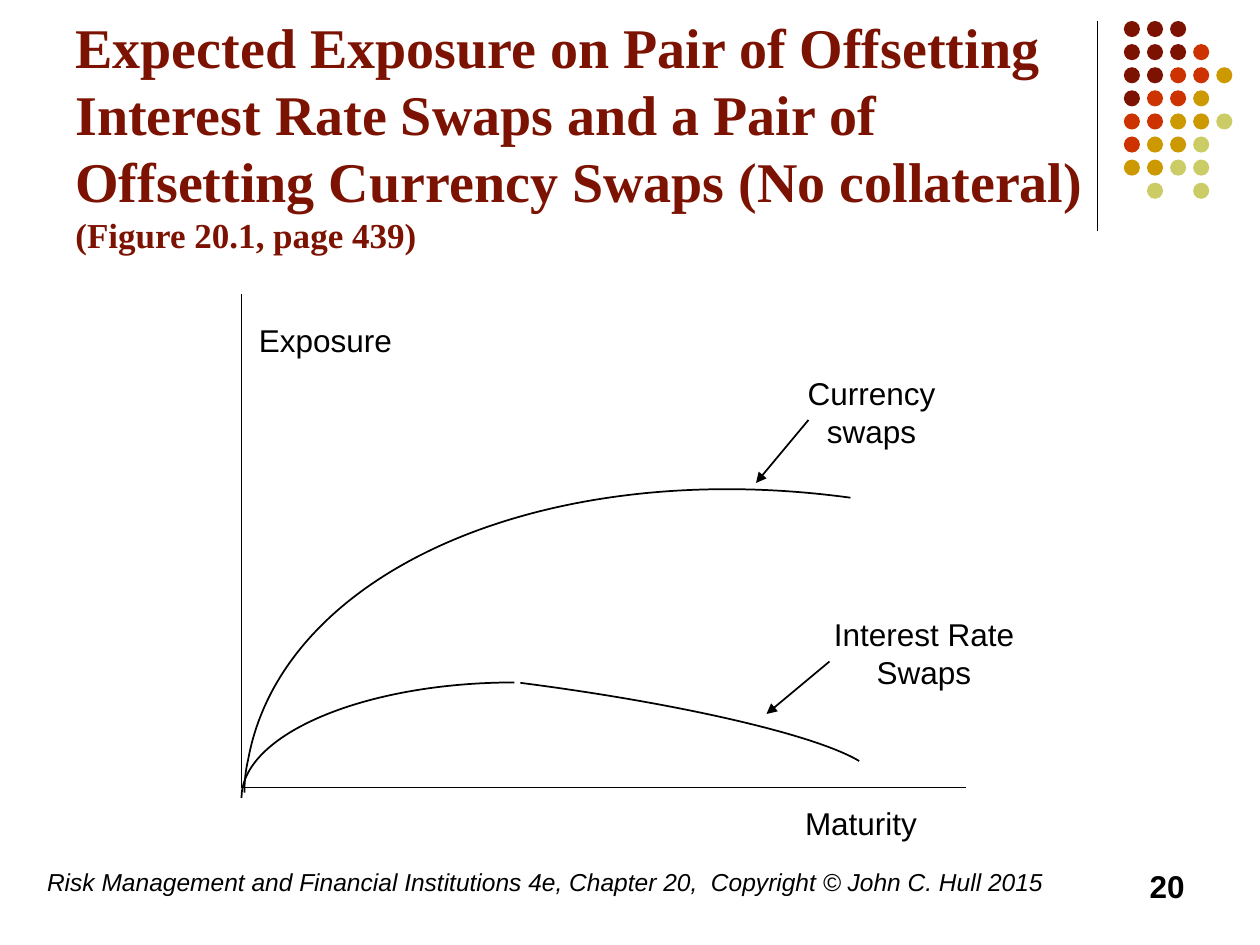
from dataclasses import dataclass
from math import cos, radians, sin

from pptx import Presentation, util as u
from pptx.dml.color import RGBColor
from pptx.enum import shapes, text
from pptx.oxml.ns import qn
from pptx.slide import Slide
from lxml import etree

DOT_COLORS = {"M": "7C1302", "R": "CC3300", "G": "CC9900", "L": "CCCC66"}
DOT_ROWS = ["MMM", "MMMR", "MMRRG", "MRRG", "RRGGL", "RGGL", "GGLL", " L L"]
TITLE = (
    "Expected Exposure on Pair of Offsetting Interest Rate Swaps "
    "and a Pair of Offsetting Currency Swaps (No collateral)"
)
FOOTER = "Risk Management and Financial Institutions 4e, Chapter 20,  Copyright © John C. Hull 2015"
LABELS = [
    ("Exposure", 138, 180, 96, 28.8),
    ("Maturity", 432, 456, 120, 28.8),
    ("Currency swaps", 450, 210.2, 96, 50.4),
    ("Interest Rate Swaps", 462, 348, 132, 50.4),
]
CURVES = [
    ((294.5, 402.5, 198, 28.8), 7,
     [(297.4, 390.2), (387.4, 401.8), (465.8, 419.8), (491, 434.9)]),
    ((138, 390, 156, 66), 0,
     [(294, 390), (208, 390), (138, 419.8), (138, 456)]),
    ((211, 202.3, 227.5, 337.7), 280.3,
     [(139.7, 452.9), (139.7, 446.4), (140.4, 439.9), (141.8, 434.2),
      (161.3, 326.2), (311.8, 260.6), (486, 284.4)]),
]


def color(value):
    return RGBColor.from_string(value)


@dataclass
class Painter:
    """Draws styled elements on one slide, with lengths in points."""

    slide: Slide
    font: str = "Arial"
    ink: str = "000000"
    line_width: float = 1

    def dot(self, left, top, size, fill):
        shape = self.slide.shapes.add_shape(
            shapes.MSO_SHAPE.OVAL, u.Pt(left), u.Pt(top), u.Pt(size), u.Pt(size)
        )
        shape.shadow.inherit = False
        shape.fill.solid()
        shape.fill.fore_color.rgb = color(fill)
        shape.line.fill.background()

    def line(self, start, end, width=None, arrow=False):
        connector = self.slide.shapes.add_connector(
            shapes.MSO_CONNECTOR.STRAIGHT, *map(u.Pt, start + end)
        )
        connector.line.color.rgb = color(self.ink)
        connector.line.width = u.Pt(width or self.line_width)
        if arrow:
            outline = connector.line._get_or_add_ln()
            etree.SubElement(outline, qn("a:tailEnd"), type="triangle")
        etree.SubElement(connector._element.spPr, qn("a:effectLst"))

    def curve(self, box, rotation, points):
        left, top, width, height = box
        builder = self.slide.shapes.build_freeform(u.Pt(left), u.Pt(top))
        builder.add_line_segments([(u.Pt(left + width), u.Pt(top + height))], close=False)
        shape = builder.convert_to_shape()
        outline = next(shape._element.iter(qn("a:path")))
        for step in list(outline):
            outline.remove(step)
        cosine, sine = cos(radians(rotation)), sin(radians(rotation))
        for index, (x, y) in enumerate(points):
            if index == 0:
                step = etree.SubElement(outline, qn("a:moveTo"))
            elif index % 3 == 1:
                step = etree.SubElement(outline, qn("a:cubicBezTo"))
            across, down = x - left - width / 2, y - top - height / 2
            etree.SubElement(
                step, qn("a:pt"),
                x=str(u.Pt(width / 2 + across * cosine + down * sine)),
                y=str(u.Pt(height / 2 + down * cosine - across * sine)),
            )
        shape.rotation = rotation
        shape.shadow.inherit = False
        shape.fill.background()
        shape.line.color.rgb = color(self.ink)
        shape.line.width = u.Pt(self.line_width)

    def text(self, content, left, top, width, height, size=18, align="LEFT",
             anchor="TOP", font=None, ink=None, bold=False, italic=False):
        box = self.slide.shapes.add_textbox(*map(u.Pt, (left, top, width, height)))
        frame = box.text_frame
        frame.word_wrap = True
        frame.vertical_anchor = text.MSO_ANCHOR[anchor]
        paragraph = frame.paragraphs[0]
        paragraph.add_run().text = content
        paragraph.alignment = text.PP_ALIGN[align]
        paragraph.font.name = font or self.font
        paragraph.font.size = u.Pt(size)
        paragraph.font.bold = bold
        paragraph.font.italic = italic
        paragraph.font.color.rgb = color(ink or self.ink)
        return paragraph


def main():
    presentation = Presentation()
    presentation.slide_width, presentation.slide_height = u.Pt(720), u.Pt(540)
    painter = Painter(presentation.slides.add_slide(presentation.slide_layouts[6]))

    painter.line((627, 12), (627, 132), width=0.75)
    for row, pattern in enumerate(DOT_ROWS):
        for column, key in enumerate(pattern):
            if key in DOT_COLORS:
                painter.dot(642.2 + 13.2 * column, 12 + 13.2 * row, 9.2, DOT_COLORS[key])

    title = painter.text(TITLE, 36, 23.8, 594, 126, size=32, anchor="BOTTOM",
                         font="Times New Roman", ink=DOT_COLORS["M"], bold=True)
    title.add_line_break()
    reference = title.add_run()
    reference.text = "(Figure 20.1, page 439)"
    reference.font.size = u.Pt(20)

    painter.line((138, 168), (138, 450))
    painter.line((138, 450), (552, 450))
    for box, rotation, points in CURVES:
        painter.curve(box, rotation, points)
    for label, *place in LABELS:
        painter.text(label, *place, align="CENTER")
    painter.line((462, 240), (432, 276), arrow=True)
    painter.line((474, 378), (438, 408), arrow=True)

    painter.text(FOOTER, 19.8, 492, 595.5, 36, size=14, italic=True)
    painter.text("20", 516, 492, 168, 36, align="RIGHT", bold=True)
    presentation.save("out.pptx")


if __name__ == "__main__":
    main()
